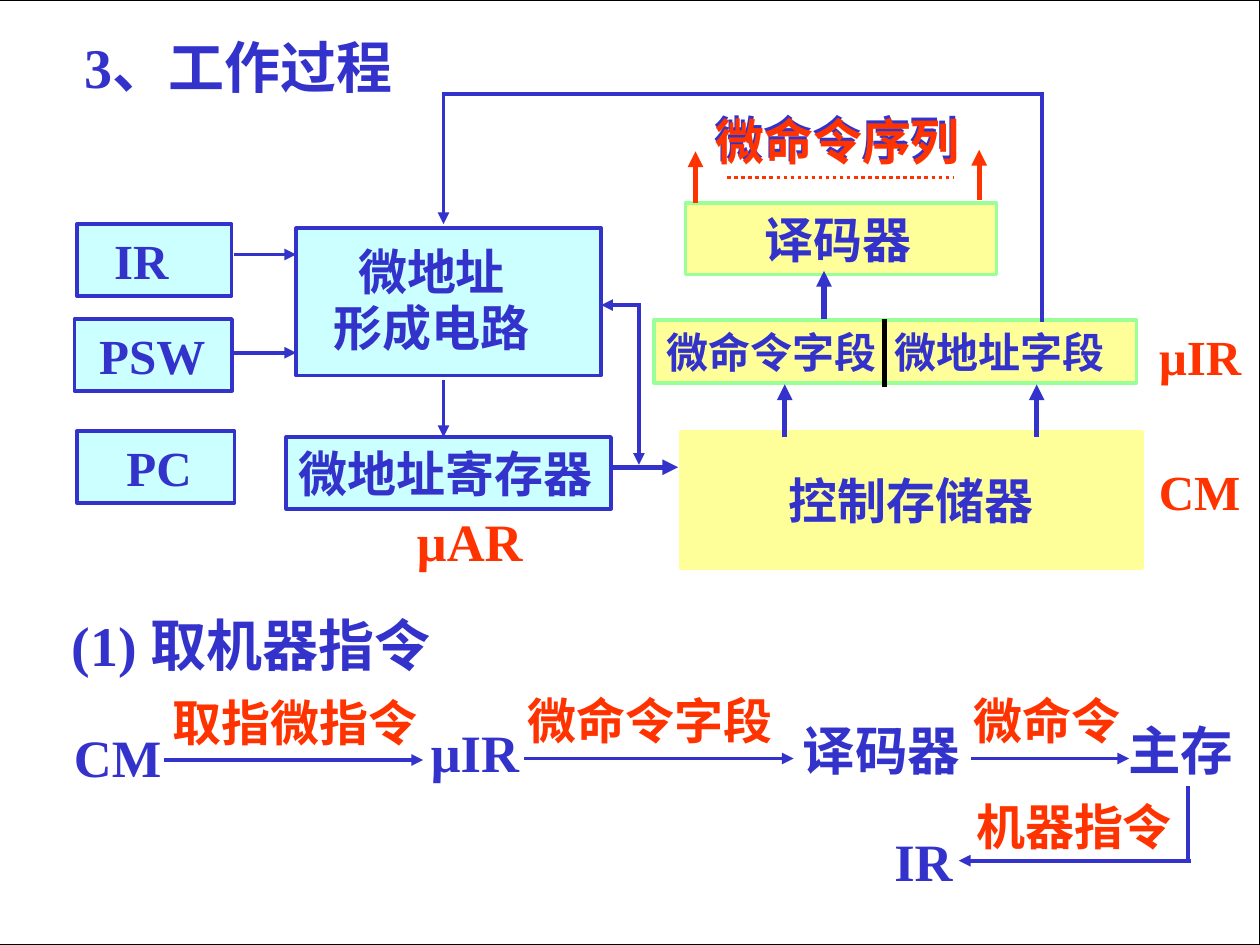
from dataclasses import dataclass

from lxml.etree import SubElement
from pptx import Presentation
from pptx.dml.color import RGBColor
from pptx.enum.dml import MSO_LINE
from pptx.enum.shapes import MSO_CONNECTOR, MSO_SHAPE
from pptx.enum.text import MSO_ANCHOR as ANCHOR, PP_ALIGN as ALIGN
from pptx.oxml.ns import qn
from pptx.util import Cm, Pt


@dataclass(frozen=True)
class Theme:
    font: str = "Times New Roman"
    blue: str = "3333CC"
    red: str = "FF3300"
    cyan: str = "CCFFFF"
    yellow: str = "FFFF99"
    green: str = "99FF99"
    black: str = "000000"
    white: str = "FFFFFF"
    title: int = 32
    step: int = 30
    label: int = 28
    field: int = 24
    border: float = 2
    thin: float = 2.25
    thick: float = 3


T = Theme()
INSET = 0.25

# text, left, top, width, height, fill, border, left indent, size
BOXES = [
    ("IR", 1.55, 4.52, 3.12, 1.45, T.cyan, T.blue, 0.5, T.label),
    ("PSW", 1.5, 6.43, 3.18, 1.45, T.cyan, T.blue, 0.25, T.label),
    ("PC", 1.55, 8.69, 3.18, 1.45, T.cyan, T.blue, 0.75, T.label),
    ("微地址寄存器", 5.77, 8.81, 6.55, 1.45, T.cyan, T.blue, 0, T.label),
    ("译码器", 13.82, 4.09, 6.27, 1.45, T.yellow, T.green, 1.35, T.label),
    ("微命令字段\t微地址字段", 13.18, 6.45, 9.73, 1.27, T.yellow, T.green, 0, T.field),
]

# text, left, top, width, colour, size
LABELS = [
    ("3、工作过程", 1.45, 0.53, 10.41, T.blue, T.title),
    ("(1) 取机器指令", 1.19, 12.17, 8.56, T.blue, T.title),
    ("CM", 1.24, 14.48, 2.67, T.blue, T.step),
    ("取指微指令", 3.23, 13.84, 5.79, T.red, T.label),
    ("µIR", 8.43, 14.38, 2.95, T.blue, T.step),
    ("微命令字段", 10.39, 13.79, 5.79, T.red, T.label),
    ("译码器", 15.93, 14.35, 4.29, T.blue, T.step),
    ("微命令", 19.38, 13.79, 3.91, T.red, T.label),
    ("主存", 22.5, 14.35, 2.97, T.blue, T.step),
    ("机器指令", 19.43, 15.93, 4.57, T.red, T.label),
    ("IR", 17.78, 16.59, 2.29, T.blue, T.step),
    ("µAR", 8.15, 10.13, 3.1, T.red, T.step),
    ("CM", 23.11, 9.17, 2.74, T.red, T.label),
    ("µIR", 23.11, 6.45, 2.74, T.red, T.label),
    ("微命令序列", 14.15, 2.06, 6.05, T.blue, T.label),
    ("微命令序列", 14.17, 2.11, 6.05, T.red, T.label),
]

# x1, y1, x2, y2 of each arrow, pointing at its second end
THIN_ARROWS = [
    (3.3, 15.32, 8.53, 15.32),
    (10.57, 15.29, 16, 15.29),
    (19.58, 15.29, 22.76, 15.29),
    (24, 17.35, 19.33, 17.35),
    (12.88, 6.15, 12.88, 9.37),
    (12.93, 6.15, 12.12, 6.15),
    (8.94, 7.67, 8.94, 8.81),
    (4.72, 5.13, 5.97, 5.13),
    (4.72, 7.11, 5.97, 7.11),
    (8.94, 1.85, 8.94, 4.52),
]
THICK_ARROWS = [
    (12.32, 9.42, 13.67, 9.42),
    (20.9, 8.81, 20.9, 7.75),
    (15.82, 8.81, 15.82, 7.75),
    (16.61, 6.43, 16.61, 5.46),
]
COMMAND_ARROWS = [(14.02, 4.09, 14.02, 3.05), (19.74, 4.04, 19.74, 3.02)]
PLAIN_LINES = [
    (23.95, 15.85, 23.95, 17.32),
    (8.94, 1.9, 21.03, 1.9),
    (21.01, 1.85, 21.01, 6.5),
]


def write(sp, text, color, size, indent=0, align=ALIGN.LEFT, anchor=ANCHOR.TOP,
          spacing=1.0, tab=None):
    tf = sp.text_frame
    frame = {"word_wrap": True, "vertical_anchor": anchor,
             "margin_left": Cm(INSET + indent), "margin_right": Cm(INSET),
             "margin_top": Cm(0.13), "margin_bottom": Cm(0.13)}
    for name, value in frame.items():
        setattr(tf, name, value)
    tf.text = text
    for p in tf.paragraphs:
        p.alignment = align
        p.line_spacing = spacing
        if tab:
            tabs = SubElement(p._p.get_or_add_pPr(), qn("a:tabLst"))
            SubElement(tabs, qn("a:tab"), pos=str(Cm(tab)), algn="l")
        for r in p.runs:
            for name, value in {"name": T.font, "size": Pt(size), "bold": True}.items():
                setattr(r.font, name, value)
            r.font.color.rgb = RGBColor.from_string(color)


def add_box(slide, left, top, width, height, fill, border, weight=T.border):
    sp = slide.shapes.add_shape(MSO_SHAPE.RECTANGLE, *map(Cm, (left, top, width, height)))
    sp.shadow.inherit = False
    sp.fill.solid()
    sp.fill.fore_color.rgb = RGBColor.from_string(fill)
    sp.line.color.rgb = RGBColor.from_string(border)
    sp.line.width = Pt(weight)
    return sp


def add_label(slide, text, left, top, width, color, size, height=1.5, **layout):
    sp = slide.shapes.add_textbox(*map(Cm, (left, top, width, height)))
    write(sp, text, color, size, **layout)


def add_line(slide, ends, color=T.blue, weight=T.thin, arrow=False, dash=None):
    cn = slide.shapes.add_connector(MSO_CONNECTOR.STRAIGHT, *map(Cm, ends))
    cn.line.color.rgb = RGBColor.from_string(color)
    cn.line.width = Pt(weight)
    if dash:
        cn.line.dash_style = dash
    if arrow:
        SubElement(cn.line._get_or_add_ln(), qn("a:tailEnd"), type="triangle")
    SubElement(cn._element.spPr, qn("a:effectLst"))


def main():
    prs = Presentation()
    prs.slide_width, prs.slide_height = Cm(25.4), Cm(19.05)
    slide = prs.slides.add_slide(prs.slide_layouts[6])

    add_box(slide, -0.1, 0, 25.5, 19.05, T.white, T.black, 0.75)
    for text, left, top, width, height, fill, border, indent, size in BOXES:
        sp = add_box(slide, left, top, width, height, fill, border)
        write(sp, text, T.blue, size, indent, tab=4.6 if "\t" in text else None)
    add_box(slide, 5.97, 4.6, 6.15, 2.97, T.cyan, T.blue)
    add_label(slide, "微地址\n形成电路", 6.4, 4.83, 4.6, T.blue, T.label,
              height=2.51, align=ALIGN.CENTER, spacing=0.95)
    store = add_box(slide, 13.72, 8.71, 9.3, 2.74, T.yellow, T.yellow)
    write(store, "控制存储器", T.blue, T.label, align=ALIGN.CENTER, anchor=ANCHOR.MIDDLE)

    for label in LABELS:
        add_label(slide, *label)

    for ends in PLAIN_LINES:
        add_line(slide, ends)
    for ends in THIN_ARROWS:
        add_line(slide, ends, arrow=True)
    for ends in THICK_ARROWS:
        add_line(slide, ends, weight=T.thick, arrow=True)
    for ends in COMMAND_ARROWS:
        add_line(slide, ends, T.red, T.thick, arrow=True)
    add_line(slide, (14.66, 3.58, 19.23, 3.58), T.red, T.border, dash=MSO_LINE.ROUND_DOT)
    add_line(slide, (17.83, 6.43, 17.83, 7.8), T.black, T.thick)

    prs.save("out.pptx")


if __name__ == "__main__":
    main()
